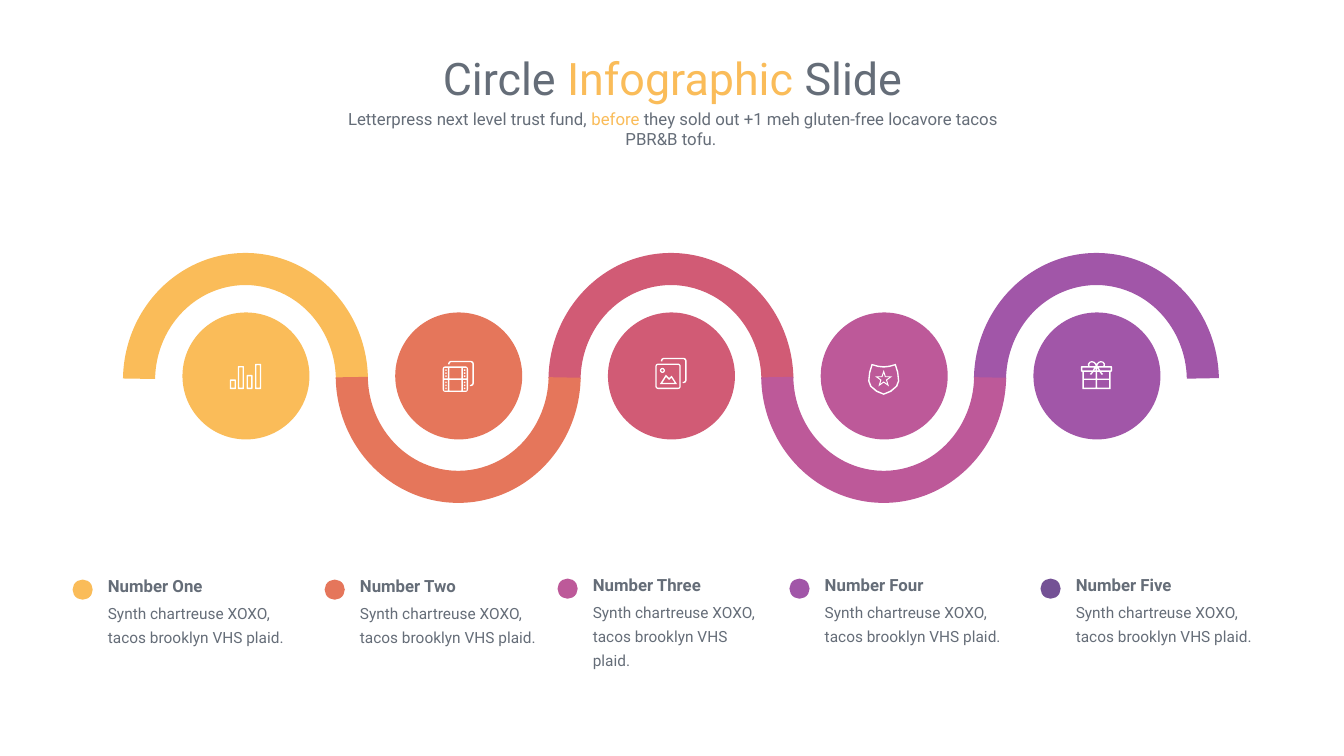
import math

import pptx
import pptx.dml.color
import pptx.enum.shapes
import pptx.enum.text
import pptx.util

Inches = pptx.util.Inches
PRESET = pptx.enum.shapes.MSO_SHAPE
CENTER = pptx.enum.text.PP_ALIGN.CENTER
GROW = pptx.enum.text.MSO_AUTO_SIZE.SHAPE_TO_FIT_TEXT

COLORS = {
    "slate": "656D78",
    "yellow": "FABC59",
    "orange": "E5765B",
    "rose": "D15B75",
    "magenta": "BD5999",
    "purple": "A156A8",
    "violet": "745195",
    "white": "FFFFFF",
}
FORMATS = {
    "title": {"size": pptx.util.Pt(32), "name": "Roboto"},
    "subtitle": {"size": pptx.util.Pt(12), "name": "Roboto"},
    "heading": {"size": pptx.util.Pt(12), "name": "Roboto", "bold": True},
    "body": {"size": pptx.util.Pt(11), "name": "Roboto"},
}
STROKE = 1.3
ICON_WIDTH = 31


def color(name):
    return pptx.dml.color.RGBColor.from_string(COLORS[name])


def paint(shape, fill):
    shape.shadow.inherit = False
    shape.fill.solid()
    shape.fill.fore_color.rgb = color(fill)
    shape.line.fill.background()


def add_preset(shapes, preset, box, fill):
    shape = shapes.add_shape(preset, *map(Inches, box))
    paint(shape, fill)
    return shape


def add_text(shapes, box, style, spans, inset=None, **layout):
    text_box = shapes.add_textbox(*map(Inches, box))
    frame = text_box.text_frame
    frame.word_wrap = True
    if inset is None:
        frame.auto_size = GROW
    else:
        for side in ("left", "top", "right", "bottom"):
            setattr(frame, f"margin_{side}", Inches(inset))
    para = frame.paragraphs[0]
    for key, value in layout.items():
        setattr(para, key, value)
    for text, tint in spans:
        span = para.add_run()
        span.text = text
        for key, value in FORMATS[style].items():
            setattr(span.font, key, value)
        span.font.color.rgb = color(tint)


def rectangle(left, top, right, bottom):
    return [(left, top), (right, top), (right, bottom), (left, bottom)]


def rounded(left, top, right, bottom, radius):
    centers = [(right - radius, bottom - radius), (left + radius, bottom - radius),
               (left + radius, top + radius), (right - radius, top + radius)]
    return [(x + radius * math.cos(math.radians(90 * corner + turn)),
             y + radius * math.sin(math.radians(90 * corner + turn)))
            for corner, (x, y) in enumerate(centers) for turn in (0, 30, 60, 90)]


def frame_outline(left, top, right, bottom, radius):
    inner = rounded(left + STROKE, top + STROKE, right - STROKE, bottom - STROKE, radius / 2)
    return [rounded(left, top, right, bottom, radius), inner]


def star(x, y, tip, notch):
    return [(x + radius * math.sin(math.radians(36 * step)),
             y - radius * math.cos(math.radians(36 * step)))
            for step, radius in enumerate([tip, notch] * 5)]


def mirror(points):
    return [(ICON_WIDTH - x, y) for x, y in points]


def chart_icon():
    bars = [(0, 15.5, 6), (8, 2.2, 14), (16.7, 11, 22.5), (25, 0, 31)]
    return [outline for left, top, right in bars
            for outline in frame_outline(left, top, right, 25, 0.7)]


def back_sheet():
    return [(5.5, 3.5), (5.5, 2.5), (6.3, 0.8), (8, 0), (28.3, 0), (30.2, 0.8), (31, 2.7),
            (31, 22.5), (30.2, 24.3), (28.3, 25.1), (27, 25.1), (27, 23.8), (28.3, 23.8),
            (29.6, 22.5), (29.6, 2.7), (28.3, 1.4), (8, 1.4), (6.9, 2.5), (6.9, 3.5)]


def film_icon():
    cells = [rectangle(left, top, right, bottom)
             for left, right in ((1.4, 5.2), (6.6, 18.6), (20, 23.8))
             for top, bottom in ((6.9, 17.5), (18.9, 29.5))]
    holes = [rectangle(left, top, left + 1.3, top + 1.5)
             for left in (2.7, 21.2) for top in (8.4, 11.4, 14.4, 20.6, 23.6, 26.6)]
    return [back_sheet(), rounded(0, 5.5, 25.2, 30.9, 2.7), *cells, *holes]


def photo_icon():
    return [back_sheet(), *frame_outline(0, 5.7, 25.2, 31, 2.7),
            rounded(4.5, 10, 9.5, 15, 2.5), rounded(5.8, 11.3, 8.2, 13.7, 1.2),
            [(4.5, 26), (10.4, 16.8), (13.6, 20), (16.2, 17.8), (21.5, 26)],
            [(7, 24.8), (10.6, 19), (13.6, 22), (15.9, 19.8), (19.2, 24.8)]]


def shield_icon():
    outer = [(15.5, 2.4), (21, 1.8), (27.5, 0), (30, 8), (31, 17), (29, 22.5), (23, 27.8), (15.5, 30.8)]
    inner = [(15.5, 3.8), (21, 3.2), (26.6, 1.6), (28.8, 9), (29.6, 17), (27.6, 22), (22, 26.6), (15.5, 29.4)]
    return [half + mirror(half)[::-1] for half in (outer, inner)] + [
        star(15.5, 15.2, 9, 3.5), star(15.5, 15.2, 6, 2.3)]


def gift_icon():
    left_half = [
        [(7.2, 5.3), (7, 3), (8.5, 1), (11, 0.2), (13.5, 1), (15.5, 3), (15.5, 5.3)],
        [(8.7, 5.3), (8.4, 3.5), (9.3, 2), (11, 1.5), (13, 2.2), (14.5, 4.3), (14.3, 5.3)],
        [(1.4, 6.7), (13.3, 6.7), (11.7, 9.6), (1.4, 9.6)],
        [(14.8, 7), (14.8, 9.6), (13.2, 9.6)],
        rectangle(2.9, 10.9, 14.8, 17.6),
        [(11.2, 10.9), (12.7, 10.9), (10.2, 14), (8.9, 13.1)],
        rectangle(2.9, 19, 14.8, 26.7),
    ]
    return [rounded(0, 5.3, 31, 10.9, 1), rectangle(1.5, 10.9, 29.5, 28),
            *left_half, *map(mirror, left_half)]


STEPS = [
    ("yellow", chart_icon, 0.51),
    ("orange", film_icon, 0.48),
    ("rose", photo_icon, 0.45),
    ("magenta", shield_icon, 0.51),
    ("purple", gift_icon, 0.48),
]
LEGEND = [
    ("Number One", "yellow", 0.72, 5.75, 2),
    ("Number Two", "orange", 3.22, 5.75, 1.8),
    ("Number Three", "magenta", 5.53, 5.74, 1.7),
    ("Number Four", "purple", 7.83, 5.74, 1.81),
    ("Number Five", "violet", 10.32, 5.74, 1.86),
]


def add_icon(shapes, outlines, left, top):
    contours = [[(100 * x, 100 * y) for x, y in outline] for outline in outlines]
    builder = shapes.build_freeform(*contours[0][0], scale=Inches(0.01) / 100)
    for index, contour in enumerate(contours):
        if index:
            builder.move_to(*contour[0])
        builder.add_line_segments(contour[1:], close=True)
    paint(builder.convert_to_shape(Inches(left), Inches(top)), "white")


def add_header(page, left, top, width):
    add_text(page.shapes, (left, top, width, 0.64), "title",
             [("Circle ", "slate"), ("Infographic ", "yellow"), ("Slide", "slate")], alignment=CENTER)
    add_text(page.shapes, (left + 0.66, top + 0.58, width - 1.31, 0.3), "subtitle",
             [("Letterpress next level trust fund, ", "slate"), ("before", "yellow"),
              (" they sold out +1 meh gluten-free locavore tacos PBR&B tofu. ", "slate")], alignment=CENTER)


def add_wave(page, left, top, pitch):
    for index in (0, 2, 4, 1, 3):
        below = index % 2
        arc = add_preset(page.shapes, PRESET.BLOCK_ARC,
                         (left + index * pitch, top - 0.05 * below, 2.43, 2.53), STEPS[index][0])
        for number, value in enumerate((108.557, 215.328, 0.131)):
            arc.adjustments[number] = value
        if below:
            arc.element.spPr.xfrm.set("flipV", "1")
    for index, (tint, icon, drop) in enumerate(STEPS):
        shapes = page.shapes.add_group_shape().shapes
        circle_left, circle_top = left + 0.59 + index * pitch, top + 0.59
        add_preset(shapes, PRESET.OVAL, (circle_left, circle_top, 1.26, 1.26), tint)
        add_icon(shapes, icon(), circle_left + 0.47, circle_top + drop)


def add_legend_item(page, left, top, width, heading, tint):
    shapes = page.shapes.add_group_shape().shapes
    add_preset(shapes, PRESET.OVAL, (left, top, 0.2, 0.2), tint)
    add_text(shapes, (left + 0.35, top + 0.19, width, 0.75), "body",
             [("Synth chartreuse XOXO, tacos brooklyn VHS plaid.", "slate")], 0, line_spacing=1.3)
    add_text(shapes, (left + 0.35, top - 0.02, width, 0.35), "heading",
             [(heading, "slate")], 0, line_spacing=0.9)


def main():
    deck = pptx.Presentation()
    deck.slide_width, deck.slide_height = Inches(13.33), Inches(7.5)
    page = deck.slides.add_slide(deck.slide_layouts[6])
    add_header(page, 2.54, 0.45, 8.26)
    add_wave(page, 1.22, 2.51, 2.11)
    for heading, tint, left, top, width in LEGEND:
        add_legend_item(page, left, top, width, heading, tint)
    deck.save("out.pptx")


if __name__ == "__main__":
    main()
